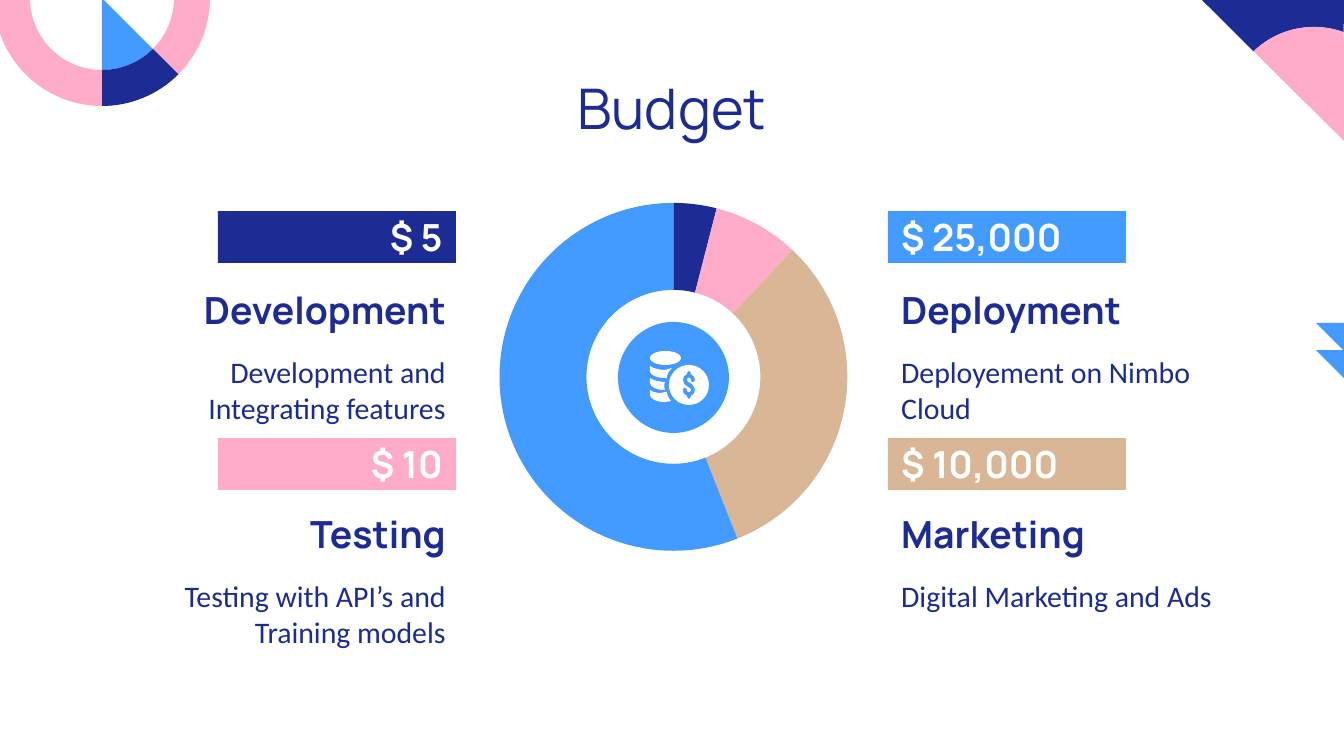
import math

import pptx
import pptx.chart.data
import pptx.dml.color
import pptx.enum.chart
import pptx.enum.shapes
import pptx.enum.text
import pptx.util
from lxml import etree

SCALE = 9144000 / 1344  # EMU per px
NAVY, BLUE, PINK, TAN, WHITE = "1D2B95", "449BFF", "FFACCA", "D9B695", "FFFFFF"
HEAD, BODY = "Manrope", "Calibri"
ALIGN = pptx.enum.text.PP_ALIGN
ANCHOR = pptx.enum.text.MSO_ANCHOR
SHAPE = pptx.enum.shapes.MSO_SHAPE
A = "{http://schemas.openxmlformats.org/drawingml/2006/main}"
C = "{http://schemas.openxmlformats.org/drawingml/2006/chart}"


def px(n):
    return pptx.util.Emu(round(n * SCALE))


def rgb(color):
    return pptx.dml.color.RGBColor.from_string(color)


def paint(sp, color):
    sp.shadow.inherit = False
    sp.fill.solid()
    sp.fill.fore_color.rgb = rgb(color)
    sp.line.fill.background()


def add_box(shapes, kind, x, y, w, h, color):
    sp = shapes.add_shape(kind, px(x), px(y), px(w), px(h))
    paint(sp, color)
    return sp


def add_outline(shapes, color, *contours):
    """Contours mix points with curves; a curve is a list of three points."""
    fb, curves, count = None, [], 0
    for contour in contours:
        flat = []
        for step in contour:
            if isinstance(step, list):
                curves.append(count + len(flat))
                flat += step
            else:
                flat.append(step)
        count += len(flat)
        pts = [(px(x), px(y)) for x, y in flat]
        if fb is None:
            fb = shapes.build_freeform(*pts[0], scale=1.0)
        else:
            fb.move_to(*pts[0])
        fb.add_line_segments(pts[1:], close=True)
    sp = fb.convert_to_shape()
    paint(sp, color)
    # Join the three segments of each curve into one Bezier
    segments = [e for e in sp._element.iter(A + "moveTo", A + "lnTo")]
    for i in curves:
        first, *rest = segments[i:i + 3]
        first.tag = A + "cubicBezTo"
        for e in rest:
            first.append(e[0])
            e.getparent().remove(e)


def arc(cx, cy, r, start, end):
    """Start point and Bezier curves of an arc; degrees run clockwise from the right."""
    def at(a, along=0):
        return (cx + r * (math.cos(a) - along * math.sin(a)),
                cy + r * (math.sin(a) + along * math.cos(a)))
    n = math.ceil(abs(end - start) / 90)
    turn = math.radians((end - start) / n)
    k = 4 / 3 * math.tan(turn / 4)
    angles = [math.radians(start) + i * turn for i in range(n + 1)]
    return [at(angles[0])] + [[at(a, k), at(b, -k), at(b)] for a, b in zip(angles, angles[1:])]


def write(sp, text, size, font, color, align, anchor=ANCHOR.MIDDLE, bold=False,
          spacing=None, after=None):
    tf = sp.text_frame
    tf.word_wrap = True
    tf.vertical_anchor = anchor
    tf.margin_left = tf.margin_right = tf.margin_top = tf.margin_bottom = pptx.util.Inches(0.1)
    p = tf.paragraphs[0]
    p.alignment = align
    if spacing:
        p.line_spacing = spacing
    if after:
        p.space_after = pptx.util.Pt(after)
    r = p.add_run()
    r.text = text
    r.font.size = pptx.util.Pt(size)
    r.font.name = font
    r.font.bold = bold
    r.font.color.rgb = rgb(color)


def add_text(shapes, x, y, w, h, *args, **kwargs):
    sp = shapes.add_textbox(px(x), px(y), px(w), px(h))
    write(sp, *args, **kwargs)


def add_corners(shapes):
    # Ring at top left
    cx, cy, inner, outer = 102, -2, 72, 108
    add_outline(shapes, BLUE, [(cx, cy)] + arc(cx, cy, inner, 45, 90))
    for start, end, color in ((0, 45, PINK), (90, 180, PINK), (45, 90, NAVY)):
        add_outline(shapes, color,
                    arc(cx, cy, outer, start, end) + arc(cx, cy, inner, end, start))
    # Triangle at top right, split by an arc
    split = arc(1314, 114, 87, 290, 226)
    add_outline(shapes, NAVY, [(1202, 0), (1344, 0)] + split)
    add_outline(shapes, PINK, split + [(1344, 141)])
    # Small triangles at the right edge
    for y in (323, 350):
        add_outline(shapes, BLUE, [(1316, y), (1344, y), (1344, y + 28)])


def add_item(shapes, left, bar_y, head_y, head_w, amount, heading, detail, color):
    align = ALIGN.RIGHT if left else ALIGN.LEFT
    text_x, head_x, bar_x = (83, 459 - head_w, 218) if left else (888, 888, 888)
    bar = add_box(shapes, SHAPE.RECTANGLE, bar_x, bar_y, 238, 52, color)
    write(bar, amount, 20, HEAD, WHITE, align, bold=True)
    add_text(shapes, head_x, head_y, head_w, 52, heading, 20, HEAD, NAVY, align,
             bold=True, spacing=0.8)
    add_text(shapes, text_x, head_y + 52, 376, 75, detail, 16, BODY, NAVY, align,
             anchor=ANCHOR.TOP, after=16)


def add_coins(shapes):
    grp = shapes.add_group_shape().shapes
    # Coin with a dollar sign cut out
    dollar = [(689, 371), [(690, 371), (691, 372), (691, 374)],
              [(694, 375), (695, 378), (695, 380)], [(695, 383), (691, 383), (691, 380)],
              [(691, 377), (687, 377), (687, 380)], [(687, 382), (689, 383), (691, 383)],
              [(693, 385), (695, 387), (695, 390)], [(695, 393), (694, 395), (691, 396)],
              [(691, 400), (687, 400), (687, 396)], [(684, 395), (683, 393), (683, 390)],
              [(683, 387), (687, 387), (687, 390)], [(687, 393), (691, 393), (691, 390)],
              [(691, 389), (690, 388), (688, 387)], [(685, 386), (683, 383), (683, 380)],
              [(683, 378), (684, 375), (687, 374)], [(687, 372), (688, 371), (689, 371)]]
    add_outline(grp, WHITE, arc(689, 385, 20, 360, 0), dollar)
    # Stack of coins
    add_box(grp, SHAPE.OVAL, 650, 351, 31, 14, WHITE)
    bands = (
        (366, [(667, 378), [(667, 374), (669, 371), (672, 368)], (665, 370)]),
        (378, [(665, 390), [(664, 388), (664, 384), (665, 382)]]),
        (390, [(671, 401), [(669, 398), (667, 396), (667, 392)], (665, 392)]),
    )
    for y, right in bands:
        add_outline(grp, WHITE, [(650, y), (650, y + 5),
                                 [(650, y + 9), (657, y + 12), (665, y + 12)], *right,
                                 [(661, y + 4), (654, y + 3), (650, y)]])


def add_doughnut(shapes):
    x, y, w, h, ring = 410, 184, 527, 386, 348
    data = pptx.chart.data.CategoryChartData()
    data.categories = ["1", "2", "3", "4"]
    data.add_series("Series 1", (4, 8, 32, 56))
    chart = shapes.add_chart(pptx.enum.chart.XL_CHART_TYPE.DOUGHNUT,
                             px(x), px(y), px(w), px(h), data).chart
    chart.has_legend = chart.has_title = False
    chart.font.size = pptx.util.Pt(10)
    chart.font.name = "Arial"
    chart.font.color.rgb = rgb(NAVY)
    plot = chart.plots[0]
    plot.vary_by_categories = True
    for i, color in enumerate((NAVY, PINK, TAN, BLUE)):
        fmt = plot.series[0].points[i].format
        fmt.fill.solid()
        fmt.fill.fore_color.rgb = rgb(color)
        fmt.line.fill.background()
    # Fixed plot area and hole size
    area = chart._chartSpace.find(f".//{C}plotArea")
    for old in area.findall(C + "layout"):
        area.remove(old)
    layout = etree.Element(C + "layout")
    area.insert(0, layout)
    manual = etree.SubElement(layout, C + "manualLayout")
    values = (("layoutTarget", "inner"), ("xMode", "edge"), ("yMode", "edge"),
              ("x", (1 - ring / w) / 2), ("y", (1 - ring / h) / 2),
              ("w", ring / w), ("h", ring / h))
    for tag, val in values:
        etree.SubElement(manual, C + tag).set("val", str(val))
    area.find(f".//{C}holeSize").set("val", "50")


def main():
    prs = pptx.Presentation()
    prs.slide_width, prs.slide_height = px(1344), px(756)
    shapes = prs.slides.add_slide(prs.slide_layouts[6]).shapes
    add_corners(shapes)
    add_text(shapes, 105, 65, 1134, 85, "Budget", 30, HEAD, NAVY, ALIGN.CENTER)
    # Left column, bar top, heading top and width, texts, colour
    items = (
        (True, 211, 288, 306, "$ 5", "Development", "Development and Integrating features", NAVY),
        (True, 438, 512, 238, "$ 10", "Testing", "Testing with API’s and Training models", PINK),
        (False, 211, 288, 274, "$ 25,000", "Deployment", "Deployement on Nimbo Cloud", BLUE),
        (False, 438, 512, 238, "$ 10,000", "Marketing", "Digital Marketing and Ads", TAN),
    )
    for item in items:
        add_item(shapes, *item)
    # Doughnut with the coin badge in its hole
    add_box(shapes, SHAPE.OVAL, 618, 322, 111, 111, BLUE)
    add_coins(shapes)
    add_doughnut(shapes)
    prs.save("out.pptx")


if __name__ == "__main__":
    main()
